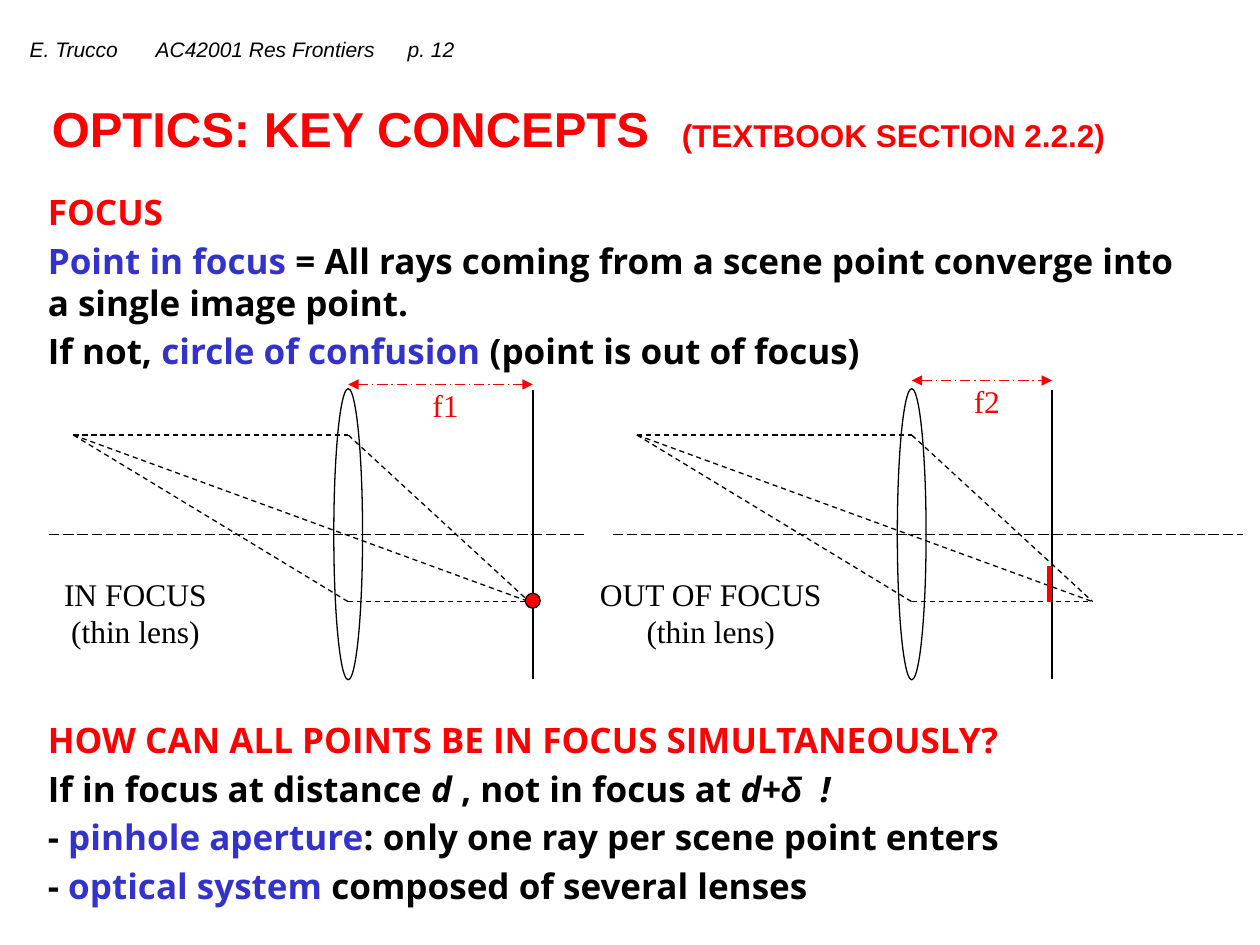
from lxml import etree
from pptx import Presentation
from pptx.dml.color import RGBColor
from pptx.enum.dml import MSO_LINE
from pptx.enum.shapes import MSO_CONNECTOR, MSO_SHAPE
from pptx.enum.text import MSO_ANCHOR, MSO_AUTO_SIZE, PP_ALIGN
from pptx.oxml.ns import qn
from pptx.util import Cm, Pt

BLACK = RGBColor(0, 0, 0)
RED = RGBColor(0xFF, 0, 0)
BLUE = RGBColor(0x33, 0x33, 0xCC)
DASH, LONG_DASH, DASH_DOT = MSO_LINE.DASH, MSO_LINE.LONG_DASH, MSO_LINE.LONG_DASH_DOT
LEFT, CENTER = PP_ALIGN.LEFT, PP_ALIGN.CENTER
STRAIGHT, OVAL = MSO_CONNECTOR.STRAIGHT, MSO_SHAPE.OVAL
TOP, NO_AUTOFIT = MSO_ANCHOR.TOP, MSO_AUTO_SIZE.NONE
SANS, BODY, SERIF = "Arial", "Open Sans", "Times New Roman"
THIN = 0.74

TITLE = [[("OPTICS: KEY CONCEPTS\t", {}), ("(TEXTBOOK SECTION 2.2.2)", {"size": 18})]]
FOCUS = [
    [("FOCUS", {"color": RED})],
    [("Point in focus", {"color": BLUE}),
     (" = All rays coming from a scene point converge into a single image point.", {})],
    [("If not, ", {}), ("circle of confusion", {"color": BLUE}),
     (" (point is out of focus)", {})],
]
QUESTION = [
    [("HOW CAN ALL POINTS BE IN FOCUS SIMULTANEOUSLY?", {"color": RED})],
    [("If in focus at distance ", {}), ("d ", {"italic": True}), (", not in focus at ", {}),
     ("d+", {"italic": True}), ("δ", {"italic": True, "font": SANS}),
     ("  !", {"italic": True})],
    [("- ", {}), ("pinhole aperture", {"color": BLUE}),
     (": only one ray per scene point enters", {})],
    [("- ", {}), ("optical system", {"color": BLUE}), (" composed of several lenses", {})],
]


class SlideBuilder:
    """Holds the current slide and draws each kind of element on it."""

    def __init__(self, page):
        self.page = page

    def fill_text(self, box, area, lines, align=LEFT, before=0, spacing=None, tabs=(), **style):
        """Place a text holder and fill it with lines of (text, style) spans."""
        box.left, box.top, box.width, box.height = [Cm(value) for value in area]
        frame = box.text_frame
        frame.word_wrap = True
        frame.auto_size = NO_AUTOFIT
        frame.vertical_anchor = TOP
        for number, spans in enumerate(lines):
            para = frame.add_paragraph() if number else frame.paragraphs[0]
            para.alignment = align
            para.space_before = Pt(before)
            if spacing:
                para.line_spacing = Pt(spacing)
            self.clear_bullet(para, tabs)
            for text, changes in spans:
                self.add_span(para, text, **{**style, **changes})

    @staticmethod
    def clear_bullet(para, tabs):
        """Remove bullet and indent, and set left tab stops."""
        properties = para._p.get_or_add_pPr()
        properties.set("marL", "0")
        properties.set("indent", "0")
        etree.SubElement(properties, qn("a:buNone"))
        if tabs:
            stops = etree.SubElement(properties, qn("a:tabLst"))
            for stop in tabs:
                etree.SubElement(stops, qn("a:tab"), pos=str(int(Cm(stop))), algn="l")

    @staticmethod
    def add_span(para, text, font, size, color=BLACK, bold=False, italic=False):
        """Add one formatted run."""
        span = para.add_run()
        span.text = text
        span.font.name, span.font.size = font, Pt(size)
        span.font.bold, span.font.italic = bold, italic
        span.font.color.rgb = color

    def text(self, area, lines, **style):
        """Add a text box."""
        box = self.page.shapes.add_textbox(0, 0, 0, 0)
        self.fill_text(box, area, lines, **style)

    def line(self, start, end, color=BLACK, width=THIN, dash=None, arrows=False):
        """Add a straight line, with arrowheads at both ends if asked."""
        link = self.page.shapes.add_connector(
            STRAIGHT, *[Cm(value) for value in (*start, *end)])
        link.line.color.rgb = color
        link.line.width = Pt(width)
        if dash:
            link.line.dash_style = dash
        properties = link.element.spPr
        if arrows:
            outline = properties.find(qn("a:ln"))
            for tag in ("a:headEnd", "a:tailEnd"):
                etree.SubElement(outline, qn(tag), type="triangle")
        etree.SubElement(properties, qn("a:effectLst"))

    def ellipse(self, center, width, height, fill=None):
        """Add an ellipse around a centre point."""
        x, y = center
        oval = self.page.shapes.add_shape(
            OVAL, Cm(x - width / 2), Cm(y - height / 2), Cm(width), Cm(height))
        oval.shadow.inherit = False
        oval.line.color.rgb = BLACK
        oval.line.width = Pt(THIN)
        if fill:
            oval.fill.solid()
            oval.fill.fore_color.rgb = fill
        else:
            oval.fill.background()

    def lens(self, center, axis_end, plane, arrow_y, label, caption, caption_x, caption_width):
        """Draw a thin lens with its rays, image plane, focal arrow and caption."""
        def at(x, y):
            """Give slide coordinates of a point relative to the lens centre."""
            return center[0] + x, center[1] + y

        source, image = at(-5.54, -2), at(3.65, 1.36)
        upper, lower = at(0, -2), at(0, 1.36)
        self.line(at(-6.03, 0), at(axis_end, 0), dash=LONG_DASH)
        self.ellipse(center, 0.58, 5.87)
        for start, end in ((source, image), (source, upper), (upper, image),
                           (source, lower), (lower, image)):
            self.line(start, end, dash=DASH)
        self.line(at(plane, -2.9), at(plane, 2.92), width=1)
        self.line(at(0, arrow_y), at(plane, arrow_y), RED, dash=DASH_DOT, arrows=True)
        self.text((*at(plane / 2 - 0.65, arrow_y - 0.1), 1.5, 1.02), [[(label, {})]],
                  align=CENTER, font=SERIF, size=18, color=RED)
        self.text((*at(caption_x - caption_width / 2, 0.69), caption_width, 1.78),
                  [[(caption, {})], [("(thin lens)", {})]],
                  align=CENTER, font=SERIF, size=18)


deck = Presentation()
deck.slide_width, deck.slide_height = Cm(25.4), Cm(19.05)
page = deck.slides.add_slide(deck.slide_layouts[3])
title, upper_body, lower_body = page.placeholders
builder = SlideBuilder(page)

builder.text((0.35, 0.62, 24.7, 1.0), [[("E. Trucco\tAC42001 Res Frontiers\tp. 12", {})]],
             tabs=(9.8, 22.5), font=SANS, size=12, italic=True)
builder.fill_text(title, (0.79, 1.85, 23.5, 1.45), TITLE, tabs=(14.24,),
                  font=SANS, size=28, color=RED, bold=True)
for body, top, lines in ((upper_body, 3.72, FOCUS), (lower_body, 14.36, QUESTION)):
    builder.fill_text(body, (0.71, top, 23.65, 4.1), lines, before=3.7, spacing=24,
                      font=BODY, size=20, bold=True)

in_focus, out_of_focus = (7.02, 10.77), (18.38, 10.77)
in_focus_plane, out_of_focus_plane = 3.72, 2.83
builder.lens(in_focus, 4.77, in_focus_plane, -3.02, "f1", "IN FOCUS", -4.29, 3.68)
builder.ellipse((in_focus[0] + in_focus_plane, in_focus[1] + 1.34), 0.3, 0.3, RED)
builder.lens(out_of_focus, 6.67, out_of_focus_plane, -3.1, "f2", "OUT OF FOCUS", -4.05, 5.94)
blur_x = out_of_focus[0] + out_of_focus_plane - 0.05
builder.line((blur_x, 11.41), (blur_x, 12.14), RED, width=3)

deck.save("out.pptx")
